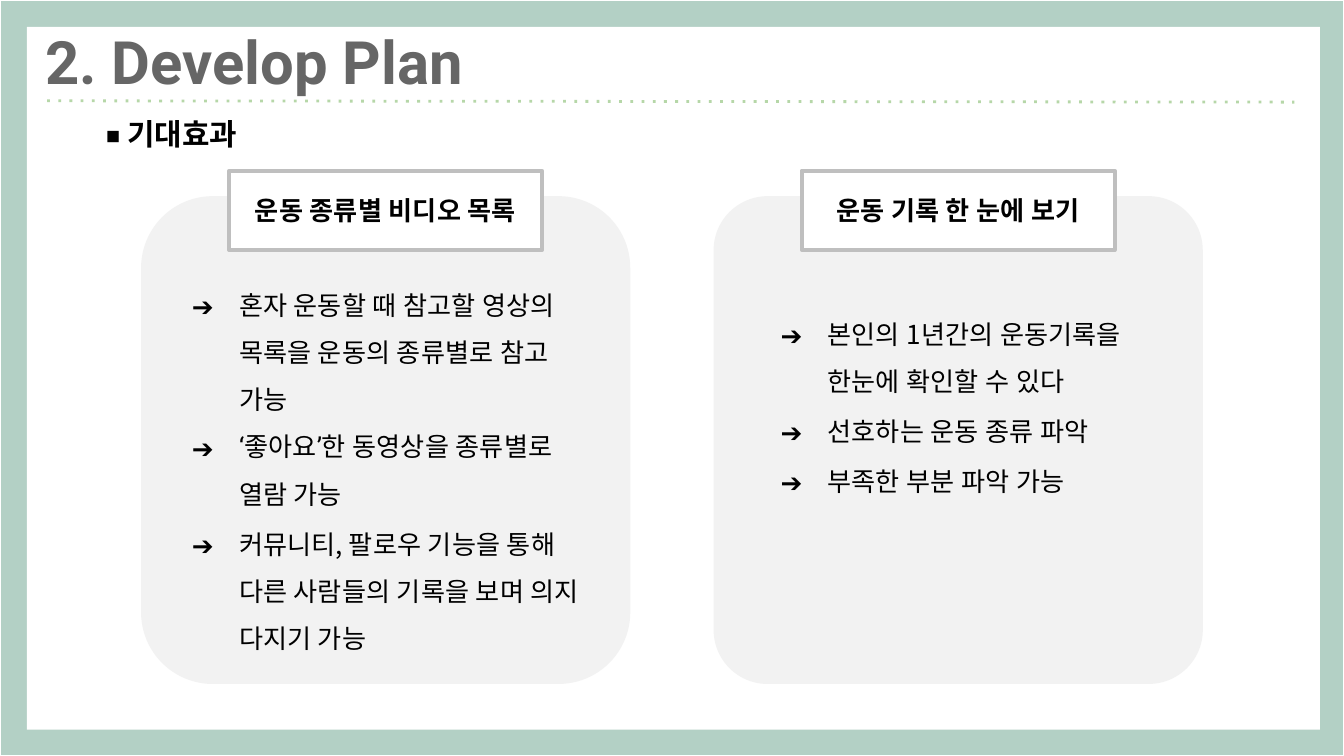
"""Build the Develop Plan slide with two expected-benefit panels."""
import pptx
import pptx.dml.color
import pptx.enum.shapes
import pptx.enum.text
import pptx.oxml
import pptx.oxml.ns
import pptx.util
from lxml import etree

Inches, Pt = pptx.util.Inches, pptx.util.Pt
RGB = pptx.dml.color.RGBColor
SHAPE = pptx.enum.shapes.MSO_SHAPE
ANCHOR = pptx.enum.text.MSO_ANCHOR
ALIGN = pptx.enum.text.PP_ALIGN
qn = pptx.oxml.ns.qn

GREEN, DOT_GREEN = RGB(0xB3, 0xD0, 0xC5), RGB(0xB6, 0xD7, 0xA8)
WHITE, BLACK = RGB(0xFF, 0xFF, 0xFF), RGB(0, 0, 0)
PANEL, BORDER, TITLE_GREY = RGB(0xF2, 0xF2, 0xF2), RGB(0xBF, 0xBF, 0xBF), RGB(0x66, 0x66, 0x66)

KOREAN, ROMAN = "Noto Sans CJK KR", "Roboto"
TITLE = {"name": ROMAN, "size": Pt(32), "bold": True, "color": TITLE_GREY}
SUBTITLE = {"name": KOREAN, "size": Pt(16), "bold": True, "color": BLACK}
HEADING = {"name": KOREAN, "size": Pt(14), "bold": True, "color": BLACK}
BODY = {"name": KOREAN, "size": Pt(14), "bold": False, "color": BLACK}

PANELS = [
    {"left": 1.05, "corner": 0.147, "heading": "운동 종류별 비디오 목록",
     "body": (1.18, 1.86, 3.39, 2.9), "margins": {"top": 0.18, "right": 0.13},
     "items": [("혼자 운동할 때 참고할 영상의 목록을 운동의 종류별로 참고 가능", 0),
               ("‘좋아요’한 동영상을 종류별로 열람 가능", 0),
               ("커뮤니티, 팔로우 기능을 통해 다른 사람들의 기록을 보며 의지 다지기 가능", 1.7)]},
    {"left": 5.31, "corner": 0.111, "heading": "운동 기록 한 눈에 보기",
     "body": (5.56, 2.15, 3.13, 1.92), "margins": {},
     "items": [("본인의 1년간의 운동기록을 한눈에 확인할 수 있다", 0),
               ("선호하는 운동 종류 파악", 1.7),
               ("부족한 부분 파악 가능", 1.7)]},
]
SLIDE_W = 10
SLIDE_H = SLIDE_W * 9 / 16
PANEL_TOP, PANEL_W, PANEL_H = 1.46, 3.64, 3.63
HEAD_TOP, HEAD_W, HEAD_H = 1.27, 2.33, 0.59


def add_box(s, kind, box, fill, line=None, width=0, corner=None):
    sp = s.shapes.add_shape(kind, *map(Inches, box))
    sp.shadow.inherit = False
    sp.fill.solid()
    sp.fill.fore_color.rgb = fill
    if line is None:
        sp.line.fill.background()
    else:
        sp.line.color.rgb = line
        sp.line.width = Pt(width)
    if corner is not None:
        sp.adjustments[0] = corner
    return sp


def add_textbox(s, box, anchor=ANCHOR.TOP, margins={}):
    tf = s.shapes.add_textbox(*map(Inches, box)).text_frame
    tf.word_wrap = True
    tf.vertical_anchor = anchor
    for side in ("left", "top", "right", "bottom"):
        setattr(tf, f"margin_{side}", Inches(margins.get(side, 0.1)))
    return tf


def add_run(p, text, style, east_asian=ROMAN):
    r = p.add_run()
    r.text = text
    for key, value in style.items():
        if key == "color":
            r.font.color.rgb = value
        else:
            setattr(r.font, key, value)
    etree.SubElement(r.font._element, qn("a:ea")).set("typeface", east_asian)


def add_bullet(p):
    pPr = p._p.get_or_add_pPr()
    pPr.set("marL", str(Inches(0.5)))
    pPr.set("indent", str(Inches(-0.35)))
    color = etree.SubElement(pPr, qn("a:buClr"))
    etree.SubElement(color, qn("a:srgbClr")).set("val", str(BLACK))
    etree.SubElement(pPr, qn("a:buFont")).set("typeface", KOREAN)
    etree.SubElement(pPr, qn("a:buChar")).set("char", "➔")


def add_panel(s, panel):
    box = (panel["left"], PANEL_TOP, PANEL_W, PANEL_H)
    add_box(s, SHAPE.ROUNDED_RECTANGLE, box, PANEL, corner=panel["corner"])
    tf = add_textbox(s, panel["body"], margins=panel["margins"])
    for i, (text, before) in enumerate(panel["items"]):
        p = tf.add_paragraph() if i else tf.paragraphs[0]
        add_bullet(p)
        p.line_spacing = 1.5
        p.space_before = Pt(before)
        add_run(p, text, BODY)
    left = panel["left"] + (PANEL_W - HEAD_W) / 2
    sp = add_box(s, SHAPE.ROUNDED_RECTANGLE, (left, HEAD_TOP, HEAD_W, HEAD_H), WHITE, BORDER, 2, 0)
    sp.text_frame.vertical_anchor = ANCHOR.MIDDLE
    p = sp.text_frame.paragraphs[0]
    p.alignment = ALIGN.CENTER
    add_run(p, panel["heading"], HEADING)


def add_dotted_rule(s):
    ends = map(Inches, (0.35, 0.75, 9.63, 0.76))
    rule = s.shapes.add_connector(pptx.enum.shapes.MSO_CONNECTOR.STRAIGHT, *ends)
    rule.line.color.rgb = DOT_GREEN
    rule.line.width = Pt(1.5)
    etree.SubElement(rule.get_or_add_ln(), qn("a:prstDash")).set("val", "dot")
    etree.SubElement(rule._element.spPr, qn("a:effectLst"))


def main():
    prs = pptx.Presentation()
    prs.slide_width, prs.slide_height = Inches(SLIDE_W), Inches(SLIDE_H)
    s = prs.slides.add_slide(prs.slide_layouts[6])
    add_box(s, SHAPE.RECTANGLE, (0, 0, SLIDE_W, SLIDE_H), GREEN, WHITE, 0.75)
    add_box(s, SHAPE.RECTANGLE, (0.2, 0.2, 9.62, 5.23), WHITE)
    add_dotted_rule(s)
    p = add_textbox(s, (0.69, 0.76, 4.31, 0.34)).paragraphs[0]
    add_run(p, "◾ 기대효과", SUBTITLE, KOREAN)
    p = add_textbox(s, (0.21, 0.11, 9.54, 0.71), ANCHOR.BOTTOM).paragraphs[0]
    p._p.get_or_add_pPr().set("marL", str(Inches(0.03)))
    add_run(p, "2. Develop Plan", TITLE)
    for panel in PANELS:
        add_panel(s, panel)
    prs.save("out.pptx")


if __name__ == "__main__":
    main()
